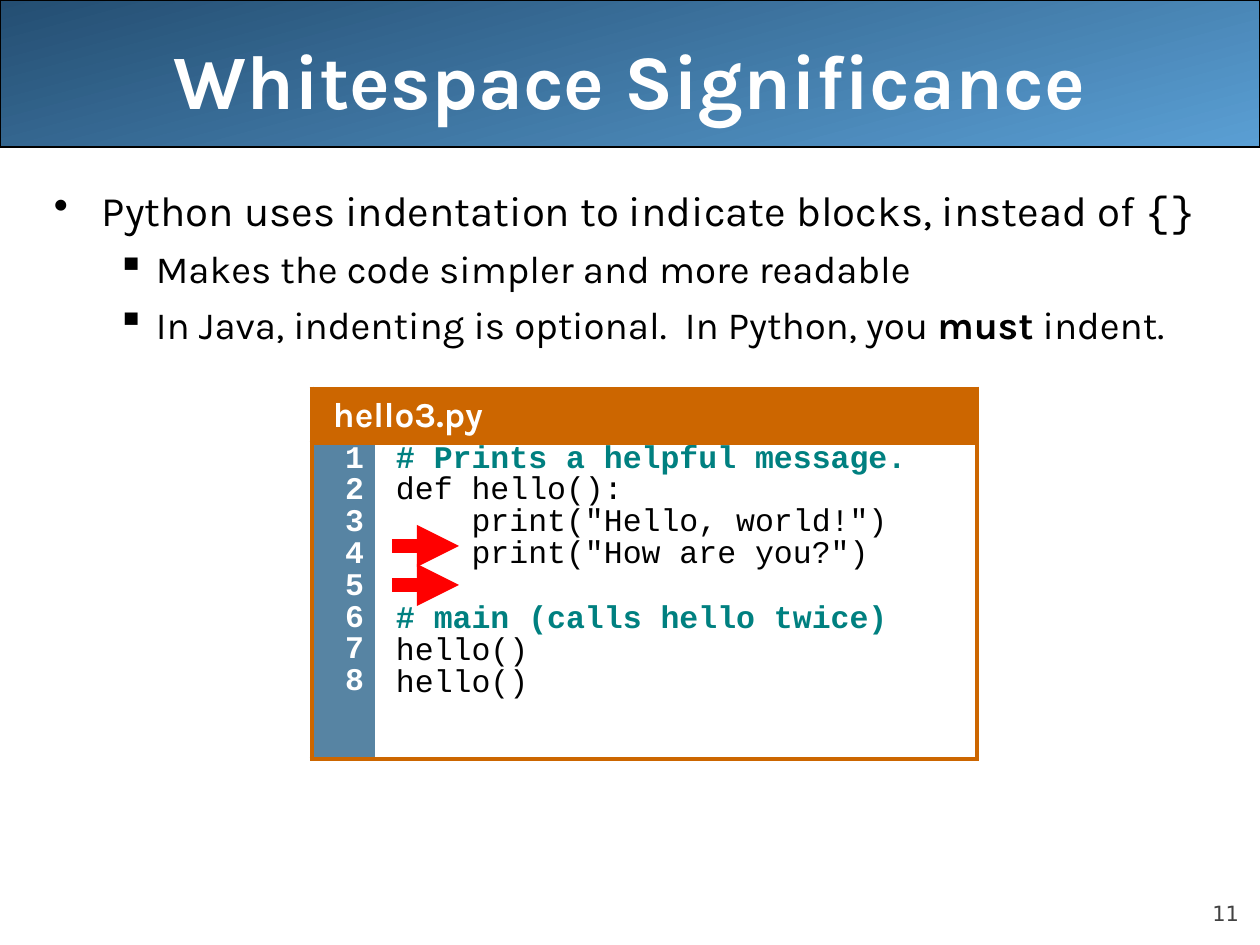
from dataclasses import dataclass

from lxml import etree
from pptx import Presentation
from pptx.dml.color import RGBColor
from pptx.enum.shapes import MSO_CONNECTOR, MSO_SHAPE
from pptx.enum.text import MSO_ANCHOR, PP_ALIGN
from pptx.oxml.ns import qn
from pptx.util import Emu, Pt

LEFT, CENTER, RIGHT = PP_ALIGN.LEFT, PP_ALIGN.CENTER, PP_ALIGN.RIGHT
TOP, MIDDLE, BOTTOM = MSO_ANCHOR.TOP, MSO_ANCHOR.MIDDLE, MSO_ANCHOR.BOTTOM
BANNER, STRAIGHT = MSO_SHAPE.ROUNDED_RECTANGLE, MSO_CONNECTOR.STRAIGHT


@dataclass(frozen=True)
class Theme:
    sans: str = "Karla"
    mono: str = "Courier New"
    number_font: str = "DejaVu Sans"
    black: str = "000000"
    white: str = "FFFFFF"
    grey: str = "424242"
    banner_dark: str = "244E72"
    banner_light: str = "5A9FD4"
    frame: str = "CC6600"
    gutter: str = "5784A3"
    comment: str = "008080"
    arrow: str = "FF0000"
    title_pt: int = 44
    body_pt: int = 24
    sub_pt: int = 22
    file_pt: int = 20
    code_pt: int = 18
    number_pt: int = 12


T = Theme()

TITLE = "Whitespace Significance"
SLIDE_NUMBER = "11"
# (level, [(text, font changes)])
BULLETS = [
    (0, [("Python uses indentation to indicate blocks, instead of ", {}), ("{}", {"name": T.mono})]),
    (1, [("Makes the code simpler and more readable", {})]),
    (1, [("In Java, indenting is optional.  In Python, you ", {}), ("must", {"bold": True}),
         (" indent.", {})]),
]
LEVELS = [
    {"size": T.body_pt, "before": 6, "margin": 48, "indent": -48, "bullet": "•"},
    {"size": T.sub_pt, "before": 5.5, "margin": 102, "indent": -39, "bullet": "▪"},
]
FILE_NAME = "hello3.py"
CODE = [
    "# Prints a helpful message.",
    "def hello():",
    '    print("Hello, world!")',
    '    print("How are you?")',
    "",
    "# main (calls hello twice)",
    "hello()",
    "hello()",
]

SLIDE_W, SLIDE_H = 1260, 945
BANNER_H = 147
TABLE_X, TABLE_Y = 312, 389
COL_WIDTHS, ROW_HEIGHTS = [63, 602], [53, 316]
CELL_INDENT = 15
ARROW_X1, ARROW_X2, ARROW_Y, ARROW_GAP, ARROW_COUNT = 392, 459, 546, 39, 2


def px(n):
    return Emu(round(n * 914400 / 126))


def rgb(value):
    return RGBColor.from_string(value)


def set_attrs(obj, values):
    for name, value in values.items():
        setattr(obj, name, value)


def add_run(p, text, size, color=T.black, name=T.sans, bold=False):
    r = p.add_run()
    r.text = text
    set_attrs(r.font, {"size": Pt(size), "name": name, "bold": bold})
    r.font.color.rgb = rgb(color)


def next_paragraph(tf, first):
    return tf.paragraphs[0] if first else tf.add_paragraph()


def set_indent(p, margin, indent=0):
    pPr = p._p.get_or_add_pPr()
    pPr.set("marL", str(px(margin)))
    pPr.set("indent", str(px(indent)))
    return pPr


def add_text_box(slide, box, anchor=TOP, margins=(12, 6, 12, 6)):
    tf = slide.shapes.add_textbox(*map(px, box)).text_frame
    left, top, right, bottom = map(px, margins)
    set_attrs(tf, {"word_wrap": True, "vertical_anchor": anchor, "margin_left": left,
                   "margin_top": top, "margin_right": right, "margin_bottom": bottom})
    return tf


def add_banner(slide):
    sp = slide.shapes.add_shape(BANNER, 0, 0, px(SLIDE_W), px(BANNER_H))
    sp.adjustments[0] = 0
    sp.shadow.inherit = False
    sp.fill.gradient()
    sp.fill.gradient_angle = 285
    for stop, color in zip(sp.fill.gradient_stops, (T.banner_dark, T.banner_light)):
        stop.color.rgb = rgb(color)
    sp.line.color.rgb = rgb(T.black)
    sp.line.width = Pt(0.75)


def add_bullets(slide):
    tf = add_text_box(slide, (42, 179, 1197, 683))
    for i, (level, runs) in enumerate(BULLETS):
        style = LEVELS[level]
        p = next_paragraph(tf, i == 0)
        set_attrs(p, {"level": level, "space_before": Pt(style["before"])})
        pPr = set_indent(p, style["margin"], style["indent"])
        etree.SubElement(pPr, qn("a:buChar"), char=style["bullet"])
        for text, changes in runs:
            add_run(p, text, style["size"], **changes)


def style_cell(cell, fill, sides, right=6):
    """Fill the cell and draw frame lines only on the given sides."""
    set_attrs(cell, {"margin_left": px(6), "margin_top": px(6),
                     "margin_right": px(right), "margin_bottom": px(6)})
    tcPr = cell._tc.get_or_add_tcPr()
    for side in "LRTB":
        ln = etree.SubElement(tcPr, qn(f"a:ln{side}"), w=str(Pt(3)))
        if side in sides:
            solid = etree.SubElement(ln, qn("a:solidFill"))
            etree.SubElement(solid, qn("a:srgbClr"), val=T.frame)
        else:
            etree.SubElement(ln, qn("a:noFill"))
    cell.fill.solid()
    cell.fill.fore_color.rgb = rgb(fill)


def fill_lines(cell, lines, align=LEFT):
    """Write one tight paragraph for each (text, colour, bold)."""
    for i, (text, color, bold) in enumerate(lines):
        p = next_paragraph(cell.text_frame, i == 0)
        set_attrs(p, {"alignment": align, "line_spacing": 0.67, "space_before": Pt(4.5)})
        set_indent(p, CELL_INDENT)
        if text:
            add_run(p, text, T.code_pt, color, T.mono, bold)
        else:
            etree.SubElement(p._p, qn("a:endParaRPr"), sz=str(T.code_pt * 100))


def add_code_table(slide):
    table = slide.shapes.add_table(2, 2, px(TABLE_X), px(TABLE_Y),
                                   px(sum(COL_WIDTHS)), px(sum(ROW_HEIGHTS))).table
    set_attrs(table, {"first_row": False, "horz_banding": False})
    for column, width in zip(table.columns, COL_WIDTHS):
        column.width = px(width)
    for row, height in zip(table.rows, ROW_HEIGHTS):
        row.height = px(height)

    header, gutter, code = table.cell(0, 0), table.cell(1, 0), table.cell(1, 1)
    header.merge(table.cell(0, 1))
    for cell in (header, table.cell(0, 1)):
        style_cell(cell, T.frame, "LRTB")
    style_cell(gutter, T.gutter, "LTB", right=11)
    style_cell(code, T.white, "RTB", right=23)

    p = header.text_frame.paragraphs[0]
    p.space_before = Pt(5)
    set_indent(p, CELL_INDENT)
    add_run(p, FILE_NAME, T.file_pt, T.white, bold=True)
    fill_lines(gutter, [(str(n), T.white, True) for n in range(1, len(CODE) + 1)], RIGHT)
    fill_lines(code, [(line, T.comment, True) if line.startswith("#") else (line, T.black, False)
                      for line in CODE])


def add_arrow(slide, y):
    cxn = slide.shapes.add_connector(STRAIGHT, px(ARROW_X1), px(y), px(ARROW_X2), px(y))
    cxn.line.color.rgb = rgb(T.arrow)
    cxn.line.width = Pt(8)
    etree.SubElement(cxn.line._get_or_add_ln(), qn("a:tailEnd"), type="triangle")
    etree.SubElement(cxn._element.spPr, qn("a:effectLst"))


def main():
    prs = Presentation()
    prs.slide_width, prs.slide_height = px(SLIDE_W), px(SLIDE_H)
    slide = prs.slides.add_slide(prs.slide_layouts[6])

    add_banner(slide)
    p = add_text_box(slide, (1134, 876, 105, 50), BOTTOM, (0, 0, 0, 0)).paragraphs[0]
    p.alignment = RIGHT
    add_run(p, SLIDE_NUMBER, T.number_pt, T.grey, T.number_font)
    p = add_text_box(slide, (63, 0, 1134, 158), MIDDLE).paragraphs[0]
    p.alignment = CENTER
    add_run(p, TITLE, T.title_pt, T.white, bold=True)
    add_bullets(slide)
    add_code_table(slide)
    for i in range(ARROW_COUNT):
        add_arrow(slide, ARROW_Y + i * ARROW_GAP)

    prs.save("out.pptx")


if __name__ == "__main__":
    main()
